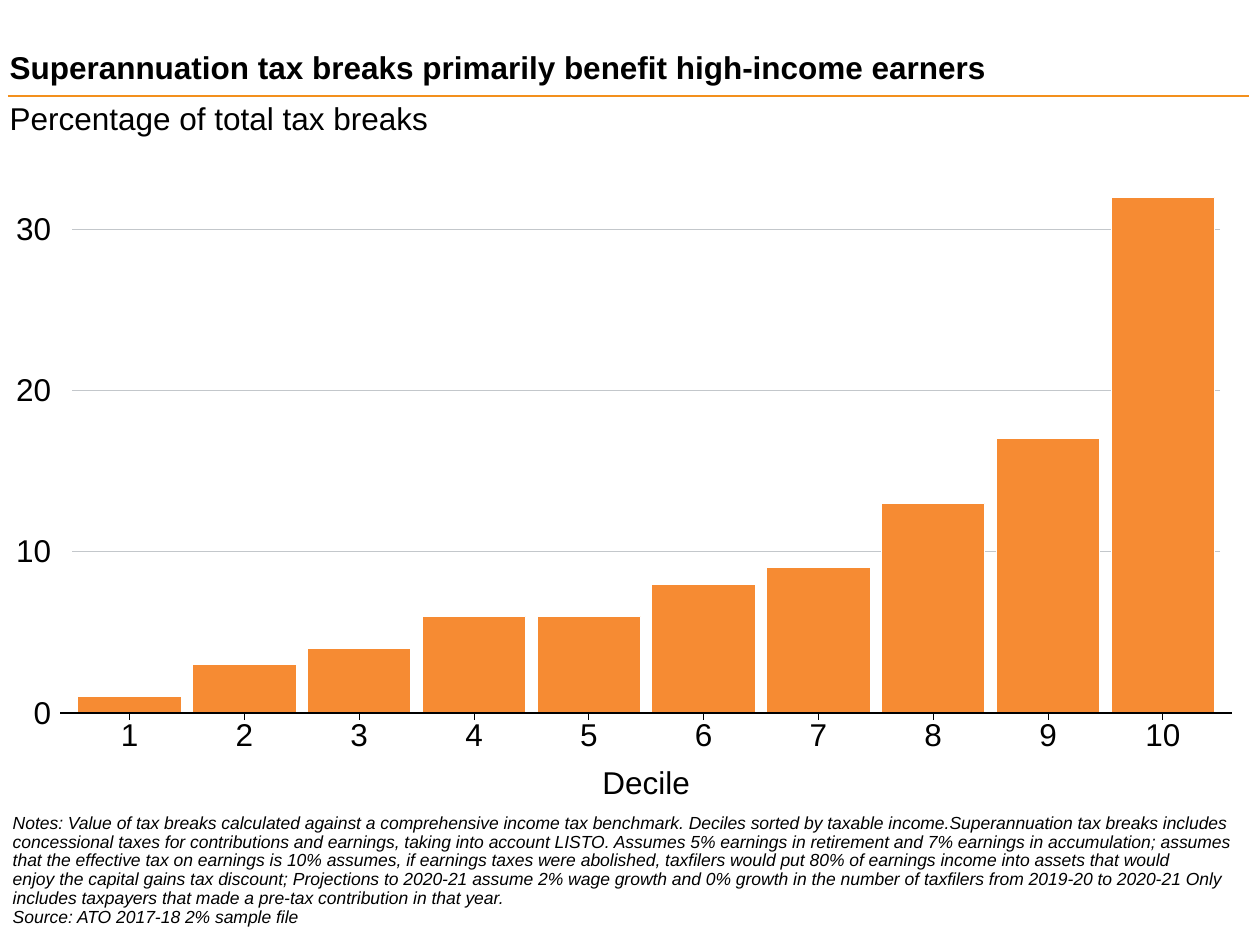
from lxml import etree
from pptx import Presentation
from pptx import util as u
from pptx.chart import data as chart_data
from pptx.dml.color import RGBColor
from pptx.enum import chart as ch, shapes, text
from pptx.oxml import parse_xml
from pptx.oxml.ns import nsdecls, qn

FONT = "Arial"
BLACK, WHITE, ORANGE, RULE, GRID = "000000", "FFFFFF", "F68B33", "F3901D", "C3C7CB"
SHARES = [1, 3, 4, 6, 6, 8, 9, 13, 17, 32]
CHART = (6, 97, 707, 436)
PLOT = (41.3, 103.4, 656, 304.1)
BASELINE = 407.5
DECILE_TITLE = (341, 432)
NOTES = [
    [
        "Notes: Value of tax breaks calculated against a comprehensive income tax benchmark. "
        "Deciles sorted by taxable income.Superannuation tax breaks includes",
        "concessional taxes for contributions and earnings, taking into account LISTO. "
        "Assumes 5% earnings in retirement and 7% earnings in accumulation; assumes",
        "that the effective tax on earnings is 10% assumes, if earnings taxes were abolished, "
        "taxfilers would put 80% of earnings income into assets that would",
        "enjoy the capital gains tax discount; Projections to 2020-21 assume 2% wage growth "
        "and 0% growth in the number of taxfilers from 2019-20 to 2020-21 Only",
        "includes taxpayers that made a pre-tax contribution in that year.",
    ],
    ["Source: ATO 2017-18 2% sample file"],
]


def colour(code):
    return RGBColor.from_string(code)


def style_font(font, size, bold=False, italic=False):
    font.name, font.size = FONT, u.Pt(size)
    font.bold, font.italic = bold, italic
    font.color.rgb = colour(BLACK)


def style_line(line, code, width):
    line.color.rgb = colour(code)
    line.width = u.Pt(width)


def place(item, left, top, width, height):
    item.left, item.top = u.Pt(left), u.Pt(top)
    item.width, item.height = u.Pt(width), u.Pt(height)


def prepare_frame(frame, anchor, wrap=True):
    frame.margin_left = frame.margin_right = frame.margin_top = frame.margin_bottom = 0
    frame.auto_size = text.MSO_AUTO_SIZE.NONE
    frame.vertical_anchor = anchor
    frame.word_wrap = wrap


def fill_placeholder(holder, box, wording, anchor, bold=False):
    place(holder, *box)
    prepare_frame(holder.text_frame, anchor)
    paragraph = holder.text_frame.paragraphs[0]
    paragraph.alignment = text.PP_ALIGN.LEFT
    paragraph.space_before = u.Pt(0)
    run = paragraph.add_run()
    run.text = wording
    style_font(run.font, 18, bold)
    return paragraph


def remove_bullet(paragraph):
    properties = paragraph._p.get_or_add_pPr()
    properties.set("marL", "0")
    properties.set("indent", "0")
    etree.SubElement(properties, qn("a:buNone"))


def add_line(slide, ends, code, width):
    line = slide.shapes.add_connector(shapes.MSO_CONNECTOR.STRAIGHT, *map(u.Pt, ends))
    style_line(line.line, code, width)
    etree.SubElement(line._element.spPr, qn("a:effectLst"))


def layout_xml(left, top, width=None, height=None):
    frame_left, frame_top, frame_width, frame_height = CHART
    parts = {"x": (left - frame_left) / frame_width, "y": (top - frame_top) / frame_height}
    target = ""
    if width:
        target = '<c:layoutTarget val="inner"/>'
        parts.update(w=width / frame_width, h=height / frame_height)
    modes = '<c:xMode val="edge"/><c:yMode val="edge"/>'
    sizes = "".join(f'<c:{key} val="{value:.4f}"/>' for key, value in parts.items())
    return parse_xml(f'<c:layout {nsdecls("c")}><c:manualLayout>{target}{modes}{sizes}'
                     '</c:manualLayout></c:layout>')


def set_layout(element, layout, follows=None):
    for old in element.findall(qn("c:layout")):
        element.remove(old)
    if follows is None:
        element.insert(0, layout)
    else:
        element.find(qn(follows)).addnext(layout)


def style_value_axis(axis):
    axis.minimum_scale, axis.maximum_scale, axis.major_unit = 0, 33, 10
    axis.has_major_gridlines = True
    style_line(axis.major_gridlines.format.line, GRID, 0.56)
    axis.format.line.fill.background()
    axis.major_tick_mark = ch.XL_TICK_MARK.OUTSIDE
    axis.tick_labels.number_format = "0_)"
    axis.tick_labels.number_format_is_linked = False
    style_font(axis.tick_labels.font, 18)


def style_decile_axis(axis):
    axis.format.line.fill.background()
    axis.major_tick_mark = ch.XL_TICK_MARK.NONE
    style_font(axis.tick_labels.font, 18)
    run = axis.axis_title.text_frame.paragraphs[0].add_run()
    run.text = "Decile"
    style_font(run.font, 18)
    set_layout(axis.axis_title._element, layout_xml(*DECILE_TITLE), "c:tx")


def add_decile_chart(slide):
    shares = chart_data.CategoryChartData()
    shares.categories = [str(decile) for decile in range(1, len(SHARES) + 1)]
    shares.add_series("Percentage of total tax breaks", SHARES)
    chart = slide.shapes.add_chart(
        ch.XL_CHART_TYPE.COLUMN_CLUSTERED, *map(u.Pt, CHART), shares).chart
    chart.has_legend = chart.has_title = False
    style_font(chart.font, 18)
    columns = chart.plots[0]
    columns.gap_width = 11
    columns.vary_by_categories = False
    columns.series[0].format.fill.solid()
    columns.series[0].format.fill.fore_color.rgb = colour(ORANGE)
    style_line(columns.series[0].format.line, WHITE, 0.56)
    style_value_axis(chart.value_axis)
    style_decile_axis(chart.category_axis)
    set_layout(chart._chartSpace.chart.plotArea, layout_xml(*PLOT))


def add_baseline(slide):
    add_line(slide, (34.5, BASELINE, 704, BASELINE), BLACK, 0.75)
    step = PLOT[2] / len(SHARES)
    for index in range(len(SHARES)):
        centre = PLOT[0] + (index + 0.5) * step
        add_line(slide, (centre, BASELINE, centre, BASELINE + 4), BLACK, 0.56)


def add_notes(slide):
    notes = slide.shapes.add_textbox(u.Pt(7.3), u.Pt(465), u.Pt(704), u.Pt(65)).text_frame
    prepare_frame(notes, text.MSO_ANCHOR.TOP, wrap=False)
    for index, lines in enumerate(NOTES):
        paragraph = notes.add_paragraph() if index else notes.paragraphs[0]
        paragraph.line_spacing = u.Pt(10.8)
        for number, line in enumerate(lines):
            if number:
                paragraph.add_line_break()
            run = paragraph.add_run()
            run.text = line
            style_font(run.font, 10, italic=True)


def main():
    deck = Presentation()
    deck.slide_width, deck.slide_height = u.Pt(720), u.Pt(540)
    slide = deck.slides.add_slide(deck.slide_layouts[1])
    add_line(slide, (4.5, 54.8, 713.5, 54.8), RULE, 1.5)
    fill_placeholder(slide.shapes.title, (5.5, 8, 581, 41),
                     "Superannuation tax breaks primarily benefit high-income earners",
                     text.MSO_ANCHOR.BOTTOM, bold=True)
    subtitle = fill_placeholder(slide.placeholders[1], (5.5, 59, 707, 42.5),
                                "Percentage of total tax breaks", text.MSO_ANCHOR.TOP)
    subtitle.line_spacing = 0.9
    remove_bullet(subtitle)
    add_decile_chart(slide)
    add_baseline(slide)
    add_notes(slide)
    deck.save("out.pptx")


main()
